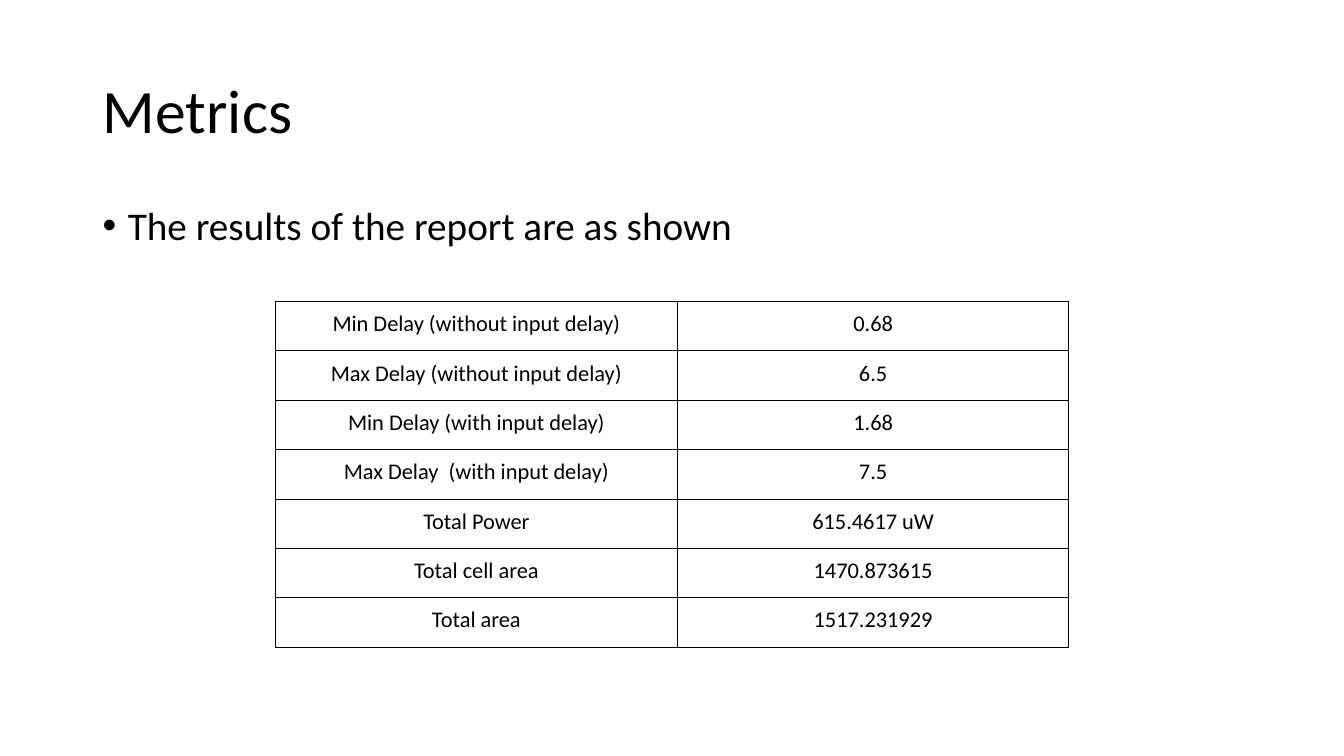
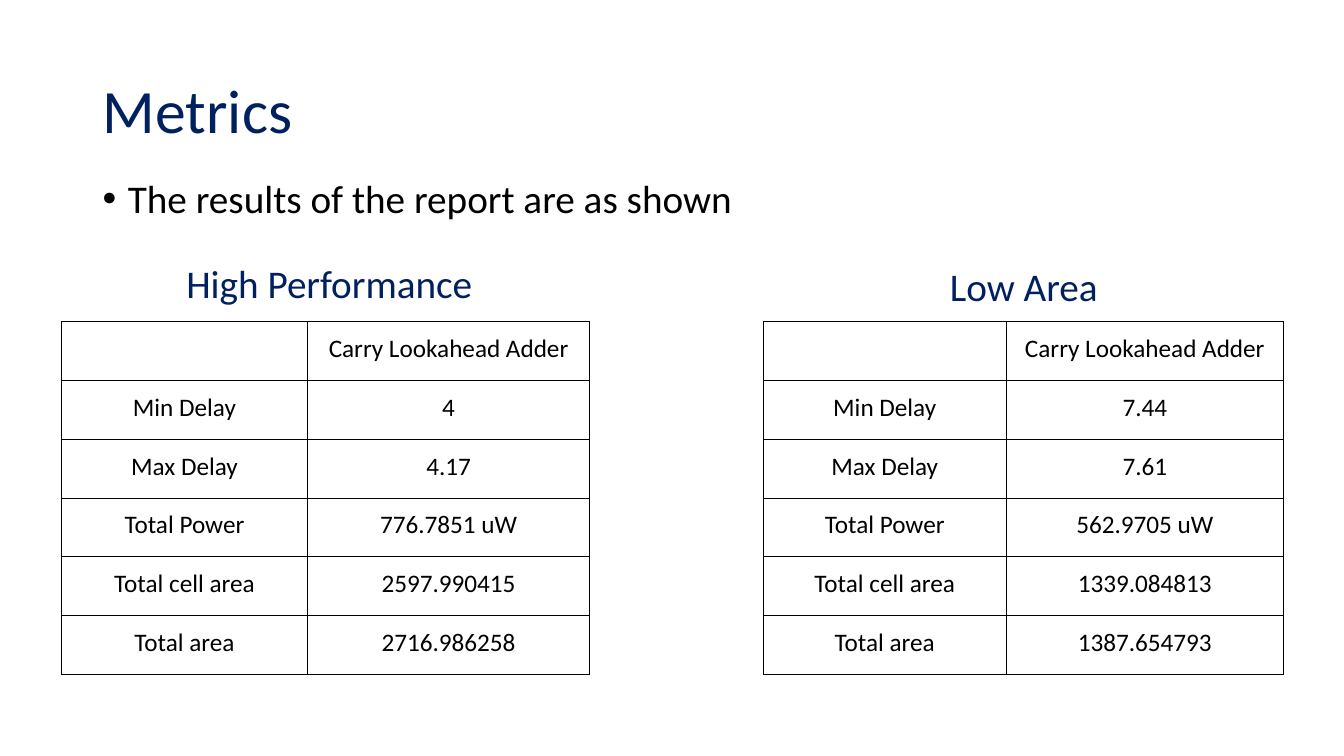
"""Build two slides that report adder metrics in bordered tables."""
from lxml import etree
from pptx import Presentation
from pptx.dml.color import RGBColor
from pptx.enum.text import MSO_ANCHOR, MSO_AUTO_SIZE, PP_ALIGN
from pptx.oxml.ns import qn
from pptx.util import Inches, Pt

LEFT, CENTER = PP_ALIGN.LEFT, PP_ALIGN.CENTER
TOP, MIDDLE = MSO_ANCHOR.TOP, MSO_ANCHOR.MIDDLE
NO_AUTOFIT = MSO_AUTO_SIZE.NONE

FONT = "Calibri"
COLORS = {"black": "000000", "navy": "002060"}
TITLE_ONLY = 5
TITLE_SIZE, TEXT_SIZE = 44, 28
LINE_SPACING = 0.9
BORDER_SIDES = ("a:lnL", "a:lnR", "a:lnT", "a:lnB")

DELAY_ROWS = [
    ("Min Delay (without input delay)", "0.68"),
    ("Max Delay (without input delay)", "6.5"),
    ("Min Delay (with input delay)", "1.68"),
    ("Max Delay  (with input delay)", "7.5"),
    ("Total Power", "615.4617 uW"),
    ("Total cell area", "1470.873615"),
    ("Total area", "1517.231929"),
]
ADDER_LABELS = ("", "Min Delay", "Max Delay", "Total Power", "Total cell area", "Total area")
HIGH_PERFORMANCE = ("Carry Lookahead Adder", "4", "4.17", "776.7851 uW", "2597.990415", "2716.986258")
LOW_AREA = ("Carry Lookahead Adder", "7.44", "7.61", "562.9705 uW", "1339.084813", "1387.654793")


def write_text(text_frame, text, size, color, alignment=LEFT):
    text_frame.text = text
    paragraph = text_frame.paragraphs[0]
    paragraph.alignment = alignment
    for run in paragraph.runs:
        run.font.name = FONT
        run.font.size = Pt(size)
        run.font.color.rgb = RGBColor.from_string(COLORS[color])
    return paragraph


def format_box(shape, text, size, color, alignment=LEFT, anchor=MIDDLE):
    text_frame = shape.text_frame
    text_frame.word_wrap = True
    text_frame.auto_size = NO_AUTOFIT
    text_frame.vertical_anchor = anchor
    paragraph = write_text(text_frame, text, size, color, alignment)
    paragraph.line_spacing = LINE_SPACING
    return paragraph


def add_titled_slide(presentation, title, color):
    slide = presentation.slides.add_slide(presentation.slide_layouts[TITLE_ONLY])
    shape = slide.shapes.title
    shape.left, shape.top = Inches(0.92), Inches(0.4)
    shape.width, shape.height = Inches(11.5), Inches(1.45)
    format_box(shape, title, TITLE_SIZE, color)
    return slide


def add_bullet(slide, top, text):
    shape = slide.shapes.add_textbox(Inches(0.92), Inches(top), Inches(11.5), Inches(0.8))
    paragraph = format_box(shape, text, TEXT_SIZE, "black", anchor=TOP)
    paragraph.space_before = Pt(10)
    properties = paragraph._p.get_or_add_pPr()
    properties.set("marL", str(Inches(0.25)))
    properties.set("indent", str(-Inches(0.25)))
    etree.SubElement(properties, qn("a:buFont"), typeface="Arial")
    etree.SubElement(properties, qn("a:buChar"), char="•")


def add_heading(slide, left, top, text, alignment):
    shape = slide.shapes.add_textbox(Inches(left), Inches(top), Inches(4.73), Inches(1.45))
    format_box(shape, text, TEXT_SIZE, "navy", alignment)


def add_borders(cell):
    properties = cell._tc.get_or_add_tcPr()
    for side in BORDER_SIDES:
        line = etree.SubElement(properties, qn(side), w=str(Pt(0.5)))
        fill = etree.SubElement(line, qn("a:solidFill"))
        etree.SubElement(fill, qn("a:srgbClr"), val=COLORS["black"])


def add_metrics_table(slide, left, top, height, column_widths, rows, size):
    frame = slide.shapes.add_table(
        len(rows), len(column_widths), Inches(left), Inches(top),
        Inches(sum(column_widths)), Inches(height))
    table = frame.table
    table.first_row = table.horz_banding = False
    for column, width in zip(table.columns, column_widths):
        column.width = Inches(width)
    for row, texts in zip(table.rows, rows):
        for cell, text in zip(row.cells, texts):
            cell.margin_left = cell.margin_right = cell.margin_top = Inches(0.01)
            cell.margin_bottom = Inches(0.05)
            cell.vertical_anchor = MIDDLE
            add_borders(cell)
            cell.fill.background()
            write_text(cell.text_frame, text, size, "black", CENTER)


def build_delay_slide(presentation):
    slide = add_titled_slide(presentation, "Metrics", "black")
    add_bullet(slide, 2, "The results of the report are as shown")
    add_metrics_table(slide, 2.73, 2.99, 3.43, (3.99, 3.88), DELAY_ROWS, 16)


def build_comparison_slide(presentation):
    slide = add_titled_slide(presentation, "Metrics", "navy")
    add_bullet(slide, 1.73, "The results of the report are as shown")
    for left, column_widths, values in (
        (0.61, (2.44, 2.8), HIGH_PERFORMANCE),
        (7.57, (2.41, 2.75), LOW_AREA),
    ):
        rows = list(zip(ADDER_LABELS, values))
        add_metrics_table(slide, left, 3.19, 3.5, column_widths, rows, 18)
    add_heading(slide, 1.75, 2.11, "High Performance", LEFT)
    add_heading(slide, 7.79, 2.14, "Low Area", CENTER)


def main():
    presentation = Presentation()
    presentation.slide_width = Inches(13.33)
    presentation.slide_height = Inches(7.5)
    build_delay_slide(presentation)
    build_comparison_slide(presentation)
    presentation.save("out.pptx")


if __name__ == "__main__":
    main()
